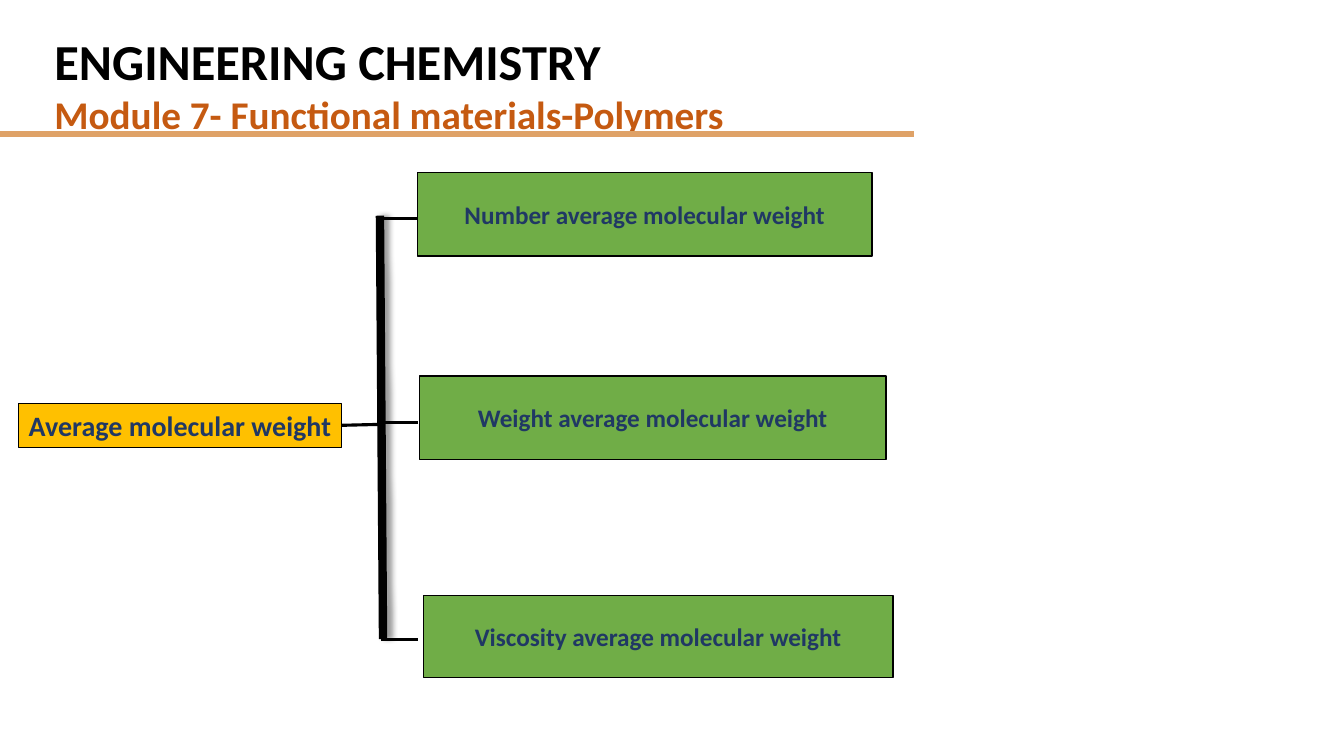
"""Build the slide that classifies the average molecular weights of polymers."""
from dataclasses import dataclass

import lxml.etree
import pptx
import pptx.dml.color
import pptx.enum.shapes
import pptx.enum.text
import pptx.oxml
import pptx.oxml.ns
import pptx.shapes.autoshape
import pptx.shapes.connector
import pptx.slide
import pptx.text.text
import pptx.util

Pt = pptx.util.Pt
ALIGN = pptx.enum.text.PP_ALIGN
ANCHOR = pptx.enum.text.MSO_ANCHOR
AUTO_SIZE = pptx.enum.text.MSO_AUTO_SIZE


@dataclass(frozen=True)
class Theme:
    font: str = "Calibri"
    black: str = "000000"
    module: str = "C55A11"
    rule: str = "DFA267"
    root: str = "FFC000"
    branch: str = "70AD47"
    label: str = "203864"
    course_size: float = 36
    module_size: float = 28
    root_size: float = 20
    branch_size: float = 18


@dataclass(frozen=True)
class Box:
    text: str
    left: float
    top: float
    width: float
    height: float
    fill: str
    size: float
    border: float


@dataclass(frozen=True)
class Line:
    x1: float
    y1: float
    x2: float
    y2: float
    color: str
    weight: float
    shadow: bool = False


THEME = Theme()
RULES = [Line(-0.7, y, 653, y, THEME.rule, 3) for y in (95, 96.5)]
SPINE = Line(271.4, 154.1, 273.6, 456.5, THEME.black, 6, shadow=True)
STEM = Line(244.1, 303.8, 273.6, 303.1, THEME.black, 2.25)
TICKS = [
    Line(x, y, x + 26.6, y, THEME.black, 2.25)
    for x, y in ((271.4, 156.2), (272.2, 456.5), (272.2, 301.7))
]
ROOT = Box("Average molecular weight", 13.4, 288, 230.7, 31.5,
           THEME.root, THEME.root_size, 0.75)
BRANCHES = [
    Box(f"{kind} average molecular weight", left, top, width, height,
        THEME.branch, THEME.branch_size, 1)
    for kind, left, top, width, height in (
        ("Number", 298, 123.1, 325, 59.8),
        ("Weight", 299.5, 268.6, 333.4, 59.8),
        ("Viscosity", 302.4, 425.5, 335.5, 58.5),
    )
]


def rgb(color: str) -> pptx.dml.color.RGBColor:
    """Turn a hex string into a colour."""
    return pptx.dml.color.RGBColor.from_string(color)


def style(p: pptx.text.text._Paragraph, size: float, color: str) -> None:
    """Set the bold theme font on a paragraph."""
    p.font.name = THEME.font
    p.font.size = Pt(size)
    p.font.bold = True
    p.font.color.rgb = rgb(color)


def add_title(s: pptx.slide.Slide) -> None:
    """Place and format the two-line title."""
    sp = s.shapes.title
    sp.left, sp.top, sp.width, sp.height = Pt(31.7), Pt(18), Pt(630), Pt(85)
    tf = sp.text_frame
    tf.word_wrap = True
    tf.auto_size = AUTO_SIZE.SHAPE_TO_FIT_TEXT
    tf.vertical_anchor = ANCHOR.TOP
    tf.text = "ENGINEERING CHEMISTRY\nModule 7- Functional materials-Polymers"
    looks = ((THEME.course_size, THEME.black), (THEME.module_size, THEME.module))
    for p, (size, color) in zip(tf.paragraphs, looks):
        p.alignment = ALIGN.LEFT
        p.line_spacing = 1.0
        p.space_before = Pt(0)
        style(p, size, color)


def add_line(s: pptx.slide.Slide, line: Line) -> pptx.shapes.connector.Connector:
    """Draw a straight line, with a soft shadow where asked."""
    c = s.shapes.add_connector(
        pptx.enum.shapes.MSO_CONNECTOR.STRAIGHT,
        Pt(line.x1), Pt(line.y1), Pt(line.x2), Pt(line.y2))
    c.line.color.rgb = rgb(line.color)
    c.line.width = Pt(line.weight)
    qn = pptx.oxml.ns.qn
    effects = lxml.etree.SubElement(c._element.spPr, qn("a:effectLst"))
    if line.shadow:
        shadow = lxml.etree.SubElement(
            effects, qn("a:outerShdw"), blurRad=str(Pt(4)), dist=str(Pt(3)),
            dir="0", algn="l", rotWithShape="0")
        color = lxml.etree.SubElement(shadow, qn("a:srgbClr"), val=line.color)
        lxml.etree.SubElement(color, qn("a:alpha"), val="40000")
    return c


def add_box(s: pptx.slide.Slide, box: Box) -> pptx.shapes.autoshape.Shape:
    """Draw a filled rectangle with a centred label."""
    sp = s.shapes.add_shape(
        pptx.enum.shapes.MSO_SHAPE.RECTANGLE,
        Pt(box.left), Pt(box.top), Pt(box.width), Pt(box.height))
    sp.shadow.inherit = False
    sp.fill.solid()
    sp.fill.fore_color.rgb = rgb(box.fill)
    sp.line.color.rgb = rgb(THEME.black)
    sp.line.width = Pt(box.border)
    tf = sp.text_frame
    tf.word_wrap = True
    tf.vertical_anchor = ANCHOR.MIDDLE
    p = tf.paragraphs[0]
    p.text = box.text
    p.alignment = ALIGN.CENTER
    style(p, box.size, THEME.label)
    return sp


def add_root(s: pptx.slide.Slide) -> None:
    """Draw the root box, whose label sits on one line at the top left."""
    tf = add_box(s, ROOT).text_frame
    tf.word_wrap = False
    tf.auto_size = AUTO_SIZE.SHAPE_TO_FIT_TEXT
    tf.vertical_anchor = ANCHOR.TOP
    tf.paragraphs[0].alignment = ALIGN.LEFT


def main() -> None:
    """Assemble and save the slide."""
    prs = pptx.Presentation()
    prs.slide_width, prs.slide_height = Pt(960), Pt(540)
    s = prs.slides.add_slide(prs.slide_layouts.get_by_name("Title Only"))
    add_title(s)
    for line in RULES:
        add_line(s, line)
    add_root(s)
    for line in (SPINE, *TICKS):
        add_line(s, line)
    for box in BRANCHES:
        add_box(s, box)
    add_line(s, STEM)
    prs.save("out.pptx")


if __name__ == "__main__":
    main()
